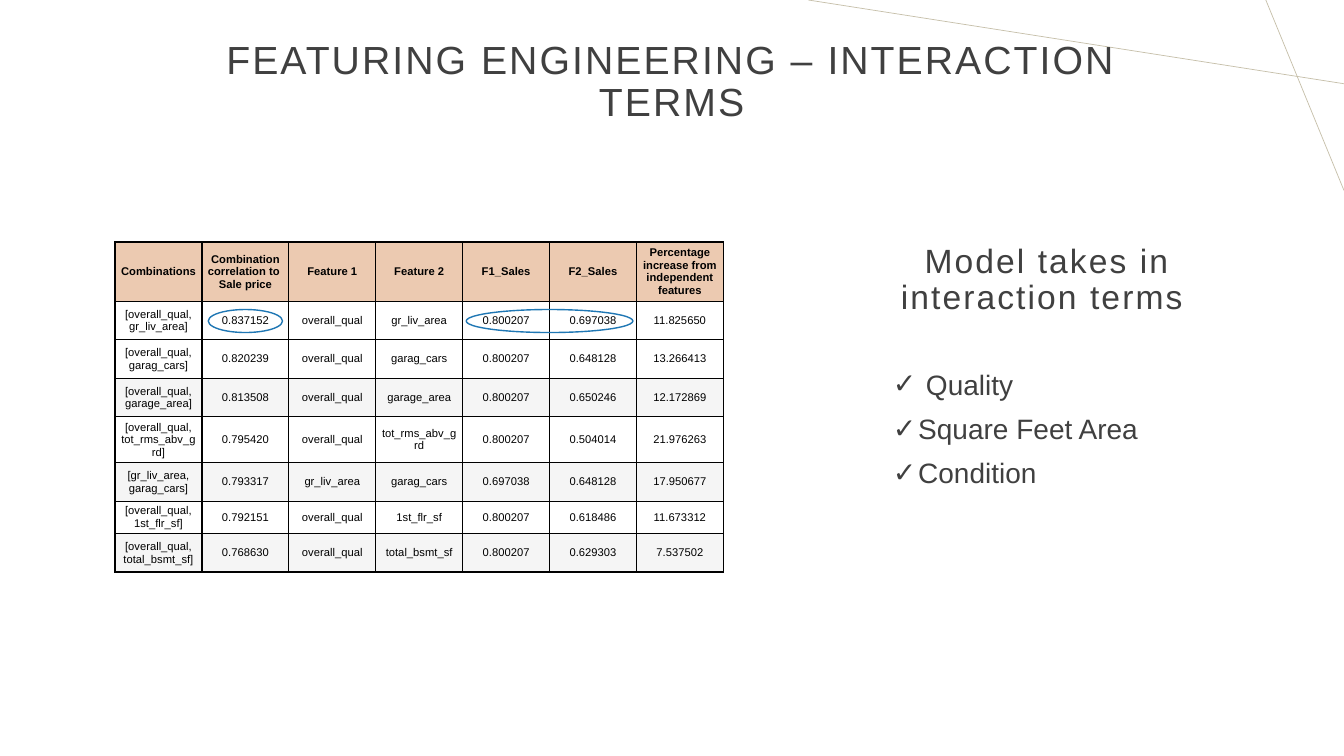
from lxml.etree import SubElement
from pptx import Presentation
from pptx.dml.color import RGBColor
from pptx.enum.shapes import MSO_CONNECTOR, MSO_SHAPE
from pptx.enum.text import MSO_ANCHOR, PP_ALIGN
from pptx.oxml.ns import qn
from pptx.util import Cm, Pt

WIDTH, HEIGHT = 33.87, 19.05
TEXT, BLACK, RAY, RING = "404040", "000000", "C6BFA9", "1F77B4"
HEADER_FILL, ROW_FILLS = "ECCAB1", ("FFFFFF", "F5F5F5")
COLUMN_WIDTH = 2.19
ROW_HEIGHTS = [1.04] + [0.97] * 5 + [0.74, 0.97]
HEADERS = [
    "Combinations", "Combination correlation to \nSale price", "Feature 1", "Feature 2",
    "F1_Sales", "F2_Sales", "Percentage increase from independent features",
]
SALES_CORRELATION = {
    "overall_qual": "0.800207",
    "gr_liv_area": "0.697038",
    "garag_cars": "0.648128",
    "garage_area": "0.650246",
    "tot_rms_abv_grd": "0.504014",
    "1st_flr_sf": "0.618486",
    "total_bsmt_sf": "0.629303",
}
COMBINATIONS = [
    ("overall_qual", "gr_liv_area", "0.837152", "11.825650", 0),
    ("overall_qual", "garag_cars", "0.820239", "13.266413", 0),
    ("overall_qual", "garage_area", "0.813508", "12.172869", 1),
    ("overall_qual", "tot_rms_abv_grd", "0.795420", "21.976263", 0),
    ("gr_liv_area", "garag_cars", "0.793317", "17.950677", 1),
    ("overall_qual", "1st_flr_sf", "0.792151", "11.673312", 0),
    ("overall_qual", "total_bsmt_sf", "0.768630", "7.537502", 1),
]


def color(code):
    return RGBColor.from_string(code)


def apply(target, values):
    for name, value in values.items():
        setattr(target, name, value)


def write(frame, lines, size, code=TEXT, bold=False, spacing=0, **layout):
    frame.word_wrap = True
    for index, line in enumerate(lines):
        para = frame.paragraphs[0] if index == 0 else frame.add_paragraph()
        apply(para, layout)
        span = para.add_run()
        span.text = line
        apply(span.font, {"name": "Arial", "size": Pt(size), "bold": bold})
        span.font.color.rgb = color(code)
        if spacing:
            span.font._element.set("spc", str(int(spacing * 100)))


def add_rays(page):
    for ends in ((WIDTH, 2.11, 20.37, 0), (31.9, 0, WIDTH, 4.8)):
        ray = page.shapes.add_connector(MSO_CONNECTOR.STRAIGHT, *map(Cm, ends))
        ray.line.color.rgb = color(RAY)
        ray.line.width = Pt(0.5)
        SubElement(ray._element.spPr, qn("a:effectLst"))


def add_heading(page, box, text, size, space_before):
    frame = page.shapes.add_textbox(*map(Cm, box)).text_frame
    frame.vertical_anchor = MSO_ANCHOR.MIDDLE
    write(frame, [text], size, spacing=1.5, alignment=PP_ALIGN.CENTER,
          line_spacing=0.9, space_before=Pt(space_before))


def add_checklist(page, box, items):
    frame = page.shapes.add_textbox(*map(Cm, box)).text_frame
    write(frame, items, 20, line_spacing=0.9, space_before=Pt(10))
    for para in frame.paragraphs:
        properties = para._p.get_or_add_pPr()
        properties.set("marL", str(Cm(0.64)))
        properties.set("indent", str(-Cm(0.64)))
        SubElement(properties, qn("a:buFont"), typeface="Arial")
        SubElement(properties, qn("a:buChar"), char="✓")


def add_borders(cell):
    properties = cell._tc.get_or_add_tcPr()
    for index, side in enumerate(("lnL", "lnR", "lnT", "lnB")):
        border = SubElement(properties, qn(f"a:{side}"), w=str(Pt(1)))
        fill = SubElement(border, qn("a:solidFill"))
        SubElement(fill, qn("a:srgbClr"), val=BLACK)
        properties.insert(index, border)


def fill_cell(cell, text, fill, bold):
    apply(cell, {
        "vertical_anchor": MSO_ANCHOR.MIDDLE,
        "margin_left": Cm(0.13), "margin_right": Cm(0.13),
        "margin_top": Cm(0.07), "margin_bottom": Cm(0.07),
    })
    write(cell.text_frame, text.split("\n"), 8, BLACK, bold, alignment=PP_ALIGN.CENTER)
    cell.fill.solid()
    cell.fill.fore_color.rgb = color(fill)
    add_borders(cell)


def add_ring(page, box):
    ring = page.shapes.add_shape(MSO_SHAPE.OVAL, *map(Cm, box))
    ring.shadow.inherit = False
    ring.fill.background()
    ring.line.color.rgb = color(RING)
    ring.line.width = Pt(1)


def add_correlations(page, left, top):
    rows = [(HEADERS, HEADER_FILL)]
    for first, second, correlation, increase, shade in COMBINATIONS:
        values = [f"[{first}, {second}]", correlation, first, second,
                  SALES_CORRELATION[first], SALES_CORRELATION[second], increase]
        rows.append((values, ROW_FILLS[shade]))
    box = (left, top, COLUMN_WIDTH * len(HEADERS), sum(ROW_HEIGHTS))
    table = page.shapes.add_table(len(rows), len(HEADERS), *map(Cm, box)).table
    for column in table.columns:
        column.width = Cm(COLUMN_WIDTH)
    for index, (values, fill) in enumerate(rows):
        table.rows[index].height = Cm(ROW_HEIGHTS[index])
        for cell, value in zip(table.rows[index].cells, values):
            fill_cell(cell, value, fill, index == 0)
    for column, span, inset in ((1, 1, 0.16), (4, 2, 0.09)):
        add_ring(page, (left + column * COLUMN_WIDTH + inset, top + 1.7,
                        span * COLUMN_WIDTH - 2 * inset, 0.58))


def main():
    deck = Presentation()
    apply(deck, {"slide_width": Cm(WIDTH), "slide_height": Cm(HEIGHT)})
    page = deck.slides.add_slide(deck.slide_layouts[6])
    add_rays(page)
    add_heading(page, (5.23, 0.25, 23.39, 3.68),
                "FEATURING ENGINEERING – INTERACTION TERMS", 28, 0)
    add_heading(page, (20.75, 5.92, 11.3, 2.29), "Model takes in interaction terms ", 24, 10)
    add_checklist(page, (22.25, 9.22, 10.9, 7.75), [" Quality", "Square Feet Area", "Condition"])
    add_correlations(page, 2.9, 6.1)
    deck.save("out.pptx")


if __name__ == "__main__":
    main()
